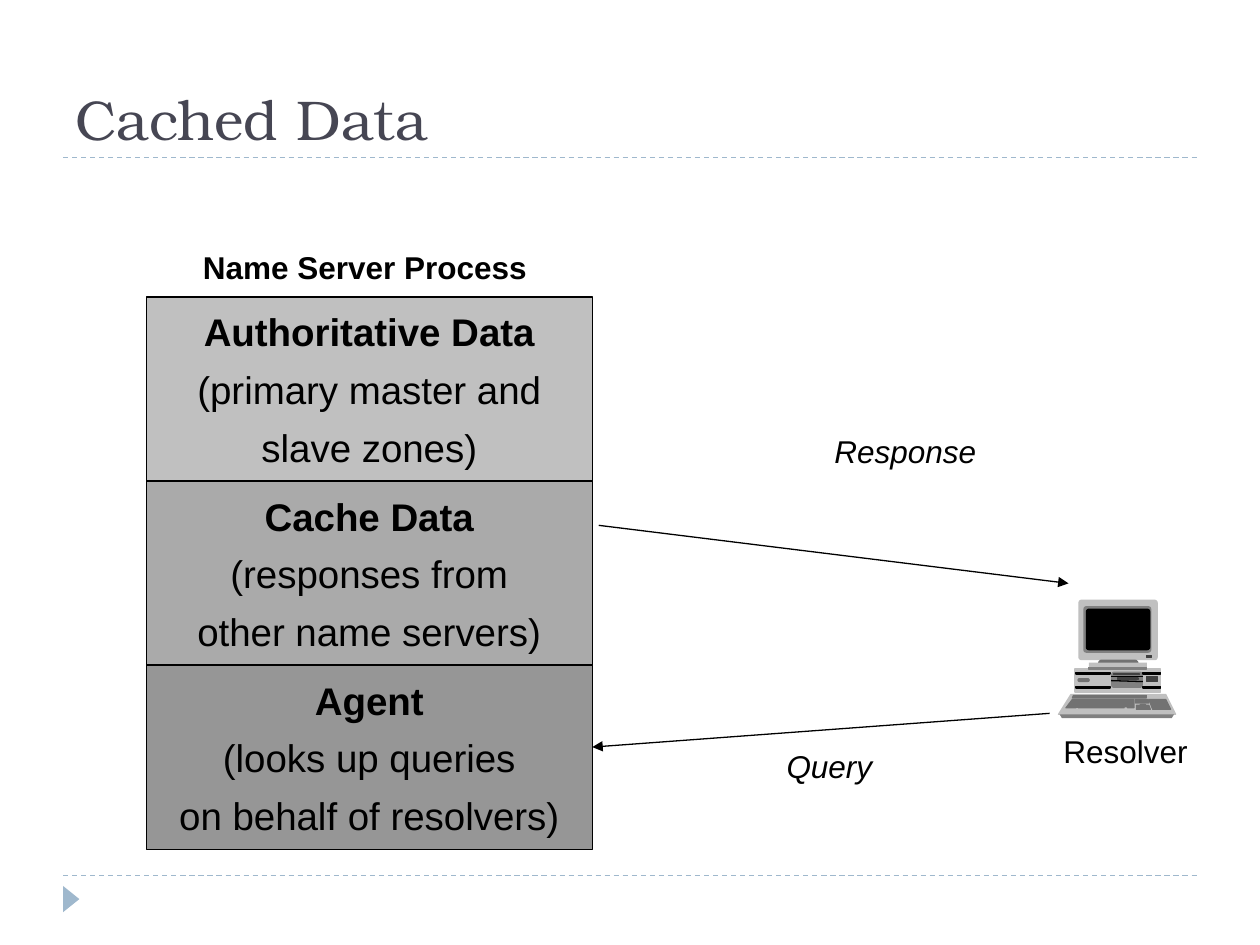
from dataclasses import dataclass

from lxml import etree
from pptx import Presentation
from pptx import util as u
from pptx.dml.color import RGBColor
from pptx.enum import dml, shapes, text
from pptx.oxml.ns import qn


@dataclass(frozen=True)
class Theme:
    title_font: str = "TeX Gyre Bonum"
    body_font: str = "Arial"
    title_size: float = 32
    box_size: float = 22
    label_size: float = 18
    line_width: float = 0.75
    title: str = "464653"
    accent: str = "9FB8CD"
    black: str = "000000"
    dark: str = "404040"
    key: str = "727272"
    grey: str = "808080"
    silver: str = "C0C0C0"
    cache: str = "AAAAAA"
    agent: str = "969696"


theme = Theme()


def paint(shape, fill, line=None):
    """Give a shape a flat fill and, if a line colour is given, an outline."""
    shape.shadow.inherit = False
    shape.fill.solid()
    shape.fill.fore_color.rgb = RGBColor.from_string(fill)
    if line:
        shape.line.color.rgb = RGBColor.from_string(line)
        shape.line.width = u.Pt(theme.line_width)
    else:
        shape.line.fill.background()


def write(box, lines, align, anchor, color=theme.black, wrap=False):
    """Fill a box with paragraphs given as (wording, font values)."""
    frame = box.text_frame
    frame.word_wrap = wrap
    frame.vertical_anchor = anchor
    for index, (wording, values) in enumerate(lines):
        para = frame.add_paragraph() if index else frame.paragraphs[0]
        para.alignment = align
        if index:
            para.space_before = u.Pt(6.5)
        span = para.add_run()
        span.text = wording
        span.font.color.rgb = RGBColor.from_string(color)
        for name, value in values.items():
            setattr(span.font, name, value)


deck = Presentation()
deck.slide_width, deck.slide_height = u.Cm(25.4), u.Cm(19.05)
page = deck.slides.add_slide(deck.slide_layouts[6])
left, center = text.PP_ALIGN.LEFT, text.PP_ALIGN.CENTER
top, middle, bottom = text.MSO_ANCHOR.TOP, text.MSO_ANCHOR.MIDDLE, text.MSO_ANCHOR.BOTTOM
rect = shapes.MSO_SHAPE.RECTANGLE
rounded = shapes.MSO_SHAPE.ROUNDED_RECTANGLE

# Page marker and title
marker = page.shapes.add_shape(shapes.MSO_SHAPE.ISOSCELES_TRIANGLE,
                               u.Cm(1.17), u.Cm(17.96), u.Cm(0.53), u.Cm(0.33))
marker.rotation = 90
paint(marker, theme.accent)
title = page.shapes.add_textbox(u.Cm(1.27), u.Cm(0.64), u.Cm(22.86), u.Cm(2.54))
title_values = {"name": theme.title_font, "size": u.Pt(theme.title_size)}
write(title, [("Cached Data", title_values)], left, bottom, theme.title, wrap=True)

# Name server process: three stacked boxes
layers = [
    (theme.silver, "Authoritative Data", "(primary master and", "slave zones)"),
    (theme.cache, "Cache Data", "(responses from", "other name servers)"),
    (theme.agent, "Agent", "(looks up queries", "on behalf of resolvers)"),
]
layer_height = 3.71
for row, (fill, heading, *details) in enumerate(layers):
    box = page.shapes.add_shape(rect, u.Cm(2.95), u.Cm(5.99 + row * layer_height),
                                u.Cm(8.99), u.Cm(layer_height))
    paint(box, fill, theme.black)
    values = {"name": theme.body_font, "size": u.Pt(theme.box_size)}
    lines = [(heading, {**values, "bold": True})]
    lines += [(detail, values) for detail in details]
    write(box, lines, center, middle)

# Labels: wording, left, top, width, alignment, style
labels = [
    ("Name Server Process", 3.84, 4.88, 7.04, left, {"bold": True}),
    ("Response", 16.56, 8.59, 3.38, center, {"italic": True}),
    ("Query", 15.6, 14.94, 2.24, center, {"italic": True}),
    ("Resolver", 21.18, 14.63, 3.02, center, {}),
]
for wording, x, y, width, align, style in labels:
    box = page.shapes.add_textbox(u.Cm(x), u.Cm(y), u.Cm(width), u.Cm(1.02))
    values = {"name": theme.body_font, "size": u.Pt(theme.label_size), **style}
    write(box, [(wording, values)], align, top)

# Resolver computer: preset, left, top, width, height, fill, line
computer_parts = [
    (rect, 21.67, 13.49, 1.73, 0.46, theme.silver, theme.silver),
    (rounded, 21.72, 13.67, 0.25, 0.08, theme.key, None),
    (rounded, 22.4, 13.54, 0.64, 0.33, theme.grey, None),
    (rounded, 21.74, 12.09, 1.6, 1.22, theme.silver, None),
    (rounded, 21.84, 12.22, 1.37, 0.94, theme.grey, None),
    (rounded, 21.89, 12.27, 1.3, 0.84, theme.black, None),
    (rect, 21.69, 13.56, 0.69, 0.03, theme.black, theme.black),
    (rect, 21.69, 13.84, 0.69, 0.03, theme.black, theme.black),
    (rect, 23.04, 13.56, 0.36, 0.03, theme.black, theme.black),
    (rect, 23.04, 13.84, 0.36, 0.03, theme.black, theme.black),
    (rect, 22.45, 13.59, 0.53, 0.01, theme.dark, theme.dark),
    (rect, 22.53, 13.67, 0.41, 0.03, theme.dark, theme.dark),
    (rect, 23.11, 13.64, 0.23, 0.1, theme.dark, theme.dark),
    (rounded, 22.15, 13.31, 0.79, 0.13, theme.key, theme.key),
    (rect, 23.11, 13.21, 0.1, 0.05, theme.dark, theme.dark),
    (rect, 21.95, 13.36, 1.17, 0.1, theme.silver, None),
    (rect, 21.95, 13.46, 1.17, 0.03, theme.grey, theme.grey),
]
for preset, x, y, width, height, fill, line in computer_parts:
    part = page.shapes.add_shape(preset, u.Cm(x), u.Cm(y), u.Cm(width), u.Cm(height))
    if preset == rounded:
        part.adjustments[0] = min(0.5, 0.06 / height)
    paint(part, fill, line)

# Keyboard: fill, line, corners
keyboard_parts = [
    (theme.silver, theme.silver, [(21.59, 14), (23.5, 14), (23.7, 14.4), (21.34, 14.4)]),
    (theme.grey, None, [(21.36, 14.4), (23.67, 14.4), (23.62, 14.48), (21.41, 14.48)]),
    (theme.key, theme.key,
     [(21.64, 14.02), (21.62, 14.07), (23.11, 14.07), (23.11, 14.02)]),
    (theme.key, theme.key,
     [(21.62, 14.1), (22.86, 14.1), (22.86, 14.27), (22.73, 14.27), (22.73, 14.25),
      (22.66, 14.25), (22.66, 14.27), (21.74, 14.27), (21.74, 14.25), (21.67, 14.27),
      (21.49, 14.27)]),
    (theme.key, theme.key,
     [(22.89, 14.1), (22.89, 14.17), (23.16, 14.17), (23.14, 14.1)]),
    (theme.key, theme.key,
     [(22.99, 14.2), (22.99, 14.22), (22.91, 14.22), (22.91, 14.3), (23.19, 14.3),
      (23.16, 14.22), (23.09, 14.22), (23.09, 14.2)]),
    (theme.key, theme.key, [(23.16, 14.1), (23.24, 14.3), (23.6, 14.3), (23.5, 14.1)]),
]
for fill, line, corners in keyboard_parts:
    start, *rest = [(u.Cm(x), u.Cm(y)) for x, y in corners]
    outline = page.shapes.build_freeform(*start)
    outline.add_line_segments(rest, close=True)
    paint(outline.convert_to_shape(), fill, line)

# Lines: from, to, colour, dashed, arrowhead
links = [
    ((1.27, 3.18), (24.13, 3.18), theme.accent, True, False),
    ((1.27, 17.65), (24.13, 17.65), theme.accent, True, False),
    ((12.07, 10.59), (21.54, 11.76), theme.black, False, True),
    ((21.16, 14.38), (11.94, 15.06), theme.black, False, True),
    ((22.4, 13.64), (23.04, 13.64), theme.black, False, False),
    ((22.4, 13.72), (23.04, 13.74), theme.black, False, False),
]
for start, end, color, dashed, arrow in links:
    link = page.shapes.add_connector(shapes.MSO_CONNECTOR.STRAIGHT,
                                     *map(u.Cm, start + end))
    link.line.color.rgb = RGBColor.from_string(color)
    link.line.width = u.Pt(theme.line_width)
    if dashed:
        link.line.dash_style = dml.MSO_LINE.DASH
    properties = link._element.spPr
    if arrow:
        etree.SubElement(properties.find(qn("a:ln")), qn("a:tailEnd"), type="triangle")
    etree.SubElement(properties, qn("a:effectLst"))

deck.save("out.pptx")
